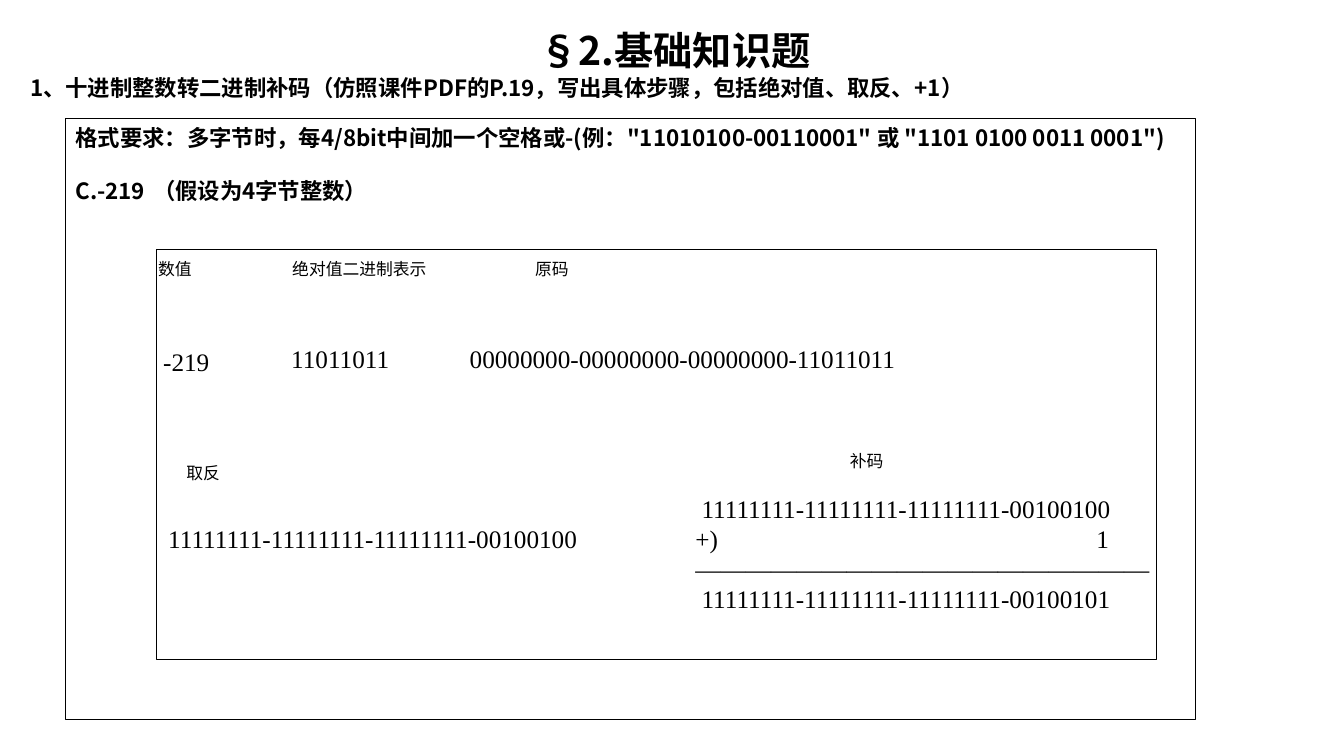
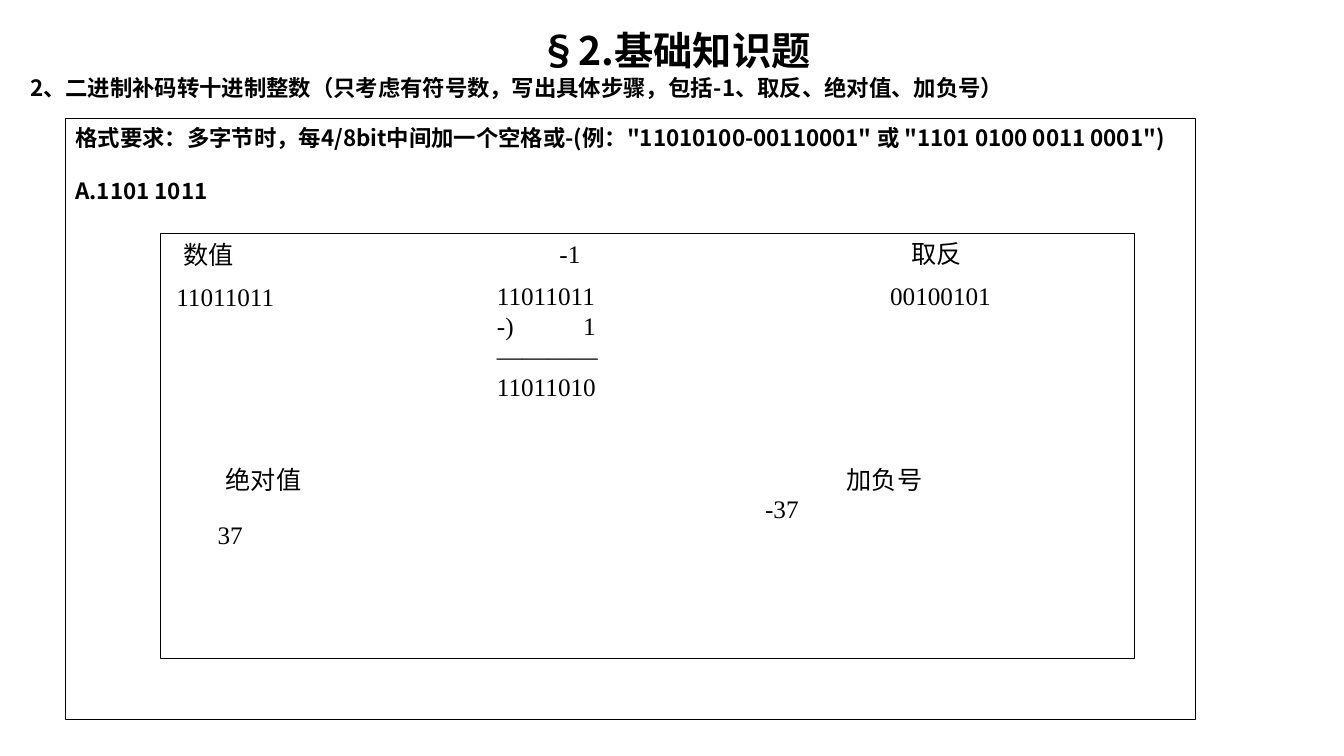
import pptx
import pptx.dml.color
import pptx.enum.shapes
import pptx.enum.text
import pptx.oxml.ns
import pptx.util
from lxml import etree

Inches = pptx.util.Inches
Pt = pptx.util.Pt
ALIGN = pptx.enum.text.PP_ALIGN

COLORS = {"ink": "000000", "paper": "FFFFFF"}
CJK_FONT = "Noto Sans CJK SC"
LINE_FACTOR = 1.2
STYLES = {
    "title": {"name": CJK_FONT, "size": Pt(28), "bold": True},
    "heading": {"name": CJK_FONT, "size": Pt(16), "bold": True},
    "small": {"name": "Times New Roman", "size": Pt(12), "bold": False},
    "work": {"name": "Times New Roman", "size": Pt(18), "bold": False},
}
FRAME_FORMAT = {
    "word_wrap": True,
    "auto_size": pptx.enum.text.MSO_AUTO_SIZE.NONE,
    "vertical_anchor": pptx.enum.text.MSO_ANCHOR.TOP,
    "margin_left": Inches(0.1),
    "margin_right": Inches(0.1),
    "margin_top": Inches(0.05),
    "margin_bottom": Inches(0.05),
}
TITLE = "§2.基础知识题"
FORMAT_RULE = ('格式要求：多字节时，每4/8bit中间加一个空格或-(例：'
               '"11010100-00110001" 或 "1101 0100 0011 0001")')


def color(name):
    return pptx.dml.color.RGBColor.from_string(COLORS[name])


def apply_format(target, values):
    for name, value in values.items():
        setattr(target, name, value)


def add_tab_stop(paragraph, position, alignment):
    properties = paragraph._p.get_or_add_pPr()
    tabs = etree.SubElement(properties, pptx.oxml.ns.qn("a:tabLst"))
    etree.SubElement(tabs, pptx.oxml.ns.qn("a:tab"),
                     pos=str(Inches(position)), algn=alignment)


def write_paragraph(paragraph, text, style, alignment=ALIGN.LEFT, before=0,
                    indent=0, tab=None):
    """Write one styled line; tab is a (position, alignment) pair."""
    apply_format(paragraph, {
        "alignment": alignment,
        "line_spacing": Pt(STYLES[style]["size"].pt * LINE_FACTOR),
        "space_before": Pt(before),
    })
    if indent:
        paragraph._p.get_or_add_pPr().set("marL", str(Inches(indent)))
    if tab:
        add_tab_stop(paragraph, *tab)
    run = paragraph.add_run()
    run.text = text
    apply_format(run.font, STYLES[style])
    run.font.color.rgb = color("ink")
    etree.SubElement(run._r.get_or_add_rPr(), pptx.oxml.ns.qn("a:ea"),
                     typeface=CJK_FONT)


def write_lines(shape, lines, style, alignment=ALIGN.LEFT):
    """Fill a shape with (text, options) lines."""
    frame = shape.text_frame
    apply_format(frame, FRAME_FORMAT)
    for index, (text, options) in enumerate(lines):
        paragraph = frame.add_paragraph() if index else frame.paragraphs[0]
        write_paragraph(paragraph, text, style, alignment, **options)


def add_text(slide, bounds, text, style="work"):
    box = slide.shapes.add_textbox(*map(Inches, bounds))
    write_lines(box, [(text, {})], style)


def add_sum(slide, bounds, numbers, sign, rule, indent, right_edge):
    """Add a written calculation: a number, a sign with 1, a rule, a result."""
    first, result = numbers
    box = slide.shapes.add_textbox(*map(Inches, bounds))
    write_lines(box, [
        (first, {"indent": indent}),
        (f"{sign})\t1", {"tab": (right_edge, "r")}),
        (rule, {}),
        (result, {"indent": indent}),
    ], "work")


def add_frame(slide, bounds, filled=False):
    frame = slide.shapes.add_shape(
        pptx.enum.shapes.MSO_SHAPE.RECTANGLE, *map(Inches, bounds))
    frame.shadow.inherit = False
    frame.line.color.rgb = color("ink")
    frame.line.width = Pt(0.75)
    if filled:
        frame.fill.solid()
        frame.fill.fore_color.rgb = color("paper")
    else:
        frame.fill.background()
    return frame


def add_exercise_slide(presentation, question, item, work_area):
    """Add a slide with the title, question, format rule and work area."""
    slide = presentation.slides.add_slide(presentation.slide_layouts[5])
    title = slide.shapes.title
    apply_format(title, {"left": Inches(0.2), "top": Inches(0.21),
                         "width": Inches(12.99), "height": Inches(0.55)})
    write_lines(title, [(TITLE, {})], "title", ALIGN.CENTER)
    add_text(slide, (0.2, 0.69, 12.99, 0.4), question, "heading")
    outer = add_frame(slide, (0.65, 1.18, 11.21, 5.96))
    blank_line = STYLES["heading"]["size"].pt * LINE_FACTOR
    write_lines(outer, [
        (FORMAT_RULE, {}),
        (item, {"before": blank_line, "tab": (0.77, "l")}),
    ], "heading")
    add_frame(slide, work_area, filled=True)
    return slide


def add_to_complement_slide(presentation):
    slide = add_exercise_slide(
        presentation,
        "1、十进制整数转二进制补码（仿照课件PDF的P.19，写出具体步骤，包括绝对值、取反、+1）",
        "C.-219\t（假设为4字节整数）", (1.55, 2.48, 9.92, 4.06))
    for left, top, width, label in (
            (1.47, 2.52, 0.95, "数值"),
            (2.8, 2.52, 1.82, "绝对值二进制表示"),
            (5.21, 2.52, 2.2, "原码"),
            (8.33, 4.42, 2.37, "补码"),
            (1.75, 4.54, 2.2, "取反")):
        add_text(slide, (left, top, width, 0.3), label, "small")
    inverted = "11111111-11111111-11111111-00100100"
    for left, top, width, value in (
            (1.52, 3.39, 0.78, "-219"),
            (2.79, 3.36, 1.55, "11011011"),
            (4.56, 3.36, 6.21, "00000000-00000000-00000000-11011011"),
            (1.57, 5.14, 6.19, inverted)):
        add_text(slide, (left, top, width, 0.4), value)
    add_sum(slide, (6.8, 4.84, 5.54, 1.61),
            (inverted, "11111111-11111111-11111111-00100101"),
            "+", "—" * 18, 0.06, 4.1)


def add_from_complement_slide(presentation):
    slide = add_exercise_slide(
        presentation,
        "2、二进制补码转十进制整数（只考虑有符号数，写出具体步骤，包括-1、取反、绝对值、加负号）",
        "A.1101 1011", (1.59, 2.32, 9.66, 4.21))
    for left, top, label in (
            (1.72, 2.33, "数值"), (5.45, 2.32, "-1"), (8.94, 2.32, "取反"),
            (2.14, 4.56, "绝对值"), (8.3, 4.56, "加负号")):
        add_text(slide, (left, top, 1.48, 0.4), label)
    for left, top, width, value in (
            (1.65, 2.74, 1.91, "11011011"),
            (8.73, 2.73, 1.91, "00100101"),
            (2.06, 5.1, 6.67, "37"),
            (7.49, 4.84, 5.67, "-37")):
        add_text(slide, (left, top, width, 0.4), value)
    add_sum(slide, (4.83, 2.73, 1.91, 1.31), ("11011011", "11011010"),
            "-", "—" * 4, 0, 0.98)


def main():
    presentation = pptx.Presentation()
    presentation.slide_width = Inches(13.33)
    presentation.slide_height = Inches(7.5)
    add_to_complement_slide(presentation)
    add_from_complement_slide(presentation)
    presentation.save("out.pptx")


if __name__ == "__main__":
    main()
